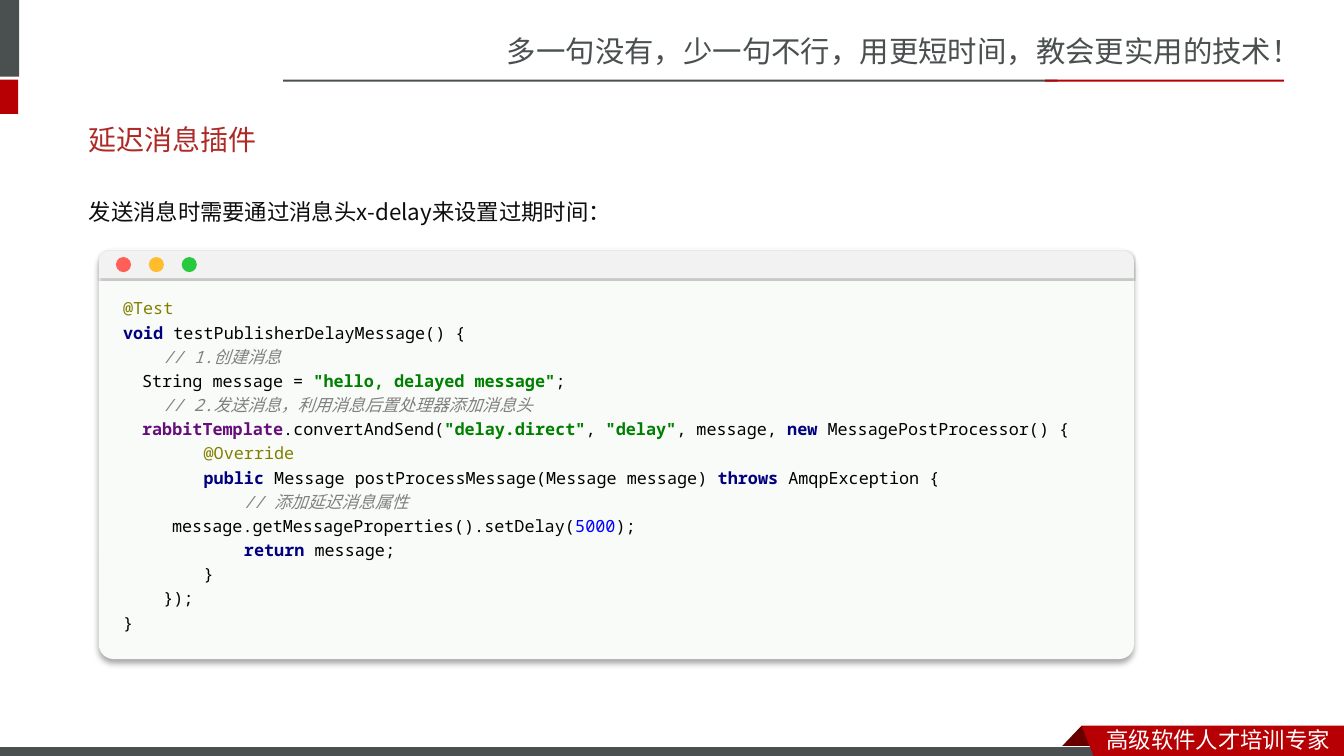
from dataclasses import dataclass

from lxml.etree import SubElement
from pptx import Presentation
from pptx.dml.color import RGBColor
from pptx.enum.shapes import MSO_SHAPE
from pptx.enum.text import MSO_ANCHOR, PP_ALIGN
from pptx.oxml.ns import qn
from pptx.util import Pt

BLACK = RGBColor(0x00, 0x00, 0x00)
WHITE = RGBColor(0xFF, 0xFF, 0xFF)
SLATE = RGBColor(0x49, 0x50, 0x4F)
RED = RGBColor(0xB6, 0x00, 0x04)
DARK_RED = RGBColor(0x68, 0x00, 0x00)
TITLE_RED = RGBColor(0xAD, 0x2A, 0x26)
INK = RGBColor(0x0D, 0x0D, 0x0D)
PANEL = RGBColor(0xF9, 0xFB, 0xF9)
TOOLBAR = RGBColor(0xF2, 0xF2, 0xF2)
CLOSE = RGBColor(0xFF, 0x5F, 0x56)
MINIMIZE = RGBColor(0xFF, 0xBD, 0x2E)
MAXIMIZE = RGBColor(0x27, 0xC9, 0x3F)
OLIVE = RGBColor(0x80, 0x80, 0x00)
NAVY = RGBColor(0x00, 0x00, 0x80)
GRAY = RGBColor(0x80, 0x80, 0x80)
GREEN = RGBColor(0x00, 0x80, 0x00)
PURPLE = RGBColor(0x66, 0x0E, 0x7A)
BLUE = RGBColor(0x00, 0x00, 0xFF)

SANS = "Noto Sans CJK SC"
MONO = "Noto Sans Mono"
INDENT = 28.8
NARROW = 13.6


@dataclass(frozen=True)
class Style:
    color: RGBColor
    size: float = 12
    latin: str = MONO
    east_asian: str = SANS
    bold: bool = False
    italic: bool = False


@dataclass(frozen=True)
class Box:
    left: float
    top: float
    width: float
    height: float


@dataclass(frozen=True)
class Block:
    box: Box
    fill: RGBColor
    kind: MSO_SHAPE = MSO_SHAPE.RECTANGLE


@dataclass(frozen=True)
class Shadow:
    alpha: int
    blur: float
    distance: float


@dataclass(frozen=True)
class CodeLine:
    indent: float
    tokens: tuple


PLAIN = Style(BLACK)
ANNOTATION = Style(OLIVE)
KEYWORD = Style(NAVY, bold=True)
STRING = Style(GREEN, bold=True)
FIELD = Style(PURPLE, bold=True)
NUMBER = Style(BLUE)
COMMENT = Style(GRAY, italic=True)
COMMENT_WORDS = Style(GRAY, latin="Courier New", italic=True)

CODE = (
    CodeLine(0, (("@Test", ANNOTATION),)),
    CodeLine(0, (("void ", KEYWORD), ("testPublisherDelayMessage() {", PLAIN))),
    CodeLine(INDENT, (("// 1.", COMMENT), ("创建消息", COMMENT_WORDS))),
    CodeLine(NARROW, (("String message = ", PLAIN),
                      ('"hello, delayed message"', STRING), (";", PLAIN))),
    CodeLine(INDENT, (("// 2.", COMMENT),
                      ("发送消息，利用消息后置处理器添加消息头", COMMENT_WORDS))),
    CodeLine(NARROW, (("rabbitTemplate", FIELD), (".convertAndSend(", PLAIN),
                      ('"delay.direct"', STRING), (", ", PLAIN),
                      ('"delay"', STRING), (", message, ", PLAIN),
                      ("new ", KEYWORD), ("MessagePostProcessor() {", PLAIN))),
    CodeLine(2 * INDENT, (("@Override", ANNOTATION),)),
    CodeLine(2 * INDENT, (("public ", KEYWORD),
                          ("Message postProcessMessage(Message message) ", PLAIN),
                          ("throws ", KEYWORD), ("AmqpException {", PLAIN))),
    CodeLine(3 * INDENT, (("// ", COMMENT), ("添加延迟消息属性", COMMENT_WORDS))),
    CodeLine(35, (("message.getMessageProperties().setDelay(", PLAIN),
                  ("5000", NUMBER), (");", PLAIN))),
    CodeLine(3 * INDENT, (("return ", KEYWORD), ("message;", PLAIN))),
    CodeLine(2 * INDENT, (("}", PLAIN),)),
    CodeLine(INDENT, (("});", PLAIN),)),
    CodeLine(0, (("}", PLAIN),)),
)


def place(shape, box: Box) -> None:
    shape.left, shape.top = Pt(box.left), Pt(box.top)
    shape.width, shape.height = Pt(box.width), Pt(box.height)


def paint(shape, fill: RGBColor) -> None:
    shape.shadow.inherit = False
    shape.fill.solid()
    shape.fill.fore_color.rgb = fill
    shape.line.fill.background()


def add_block(slide, block: Block):
    box = block.box
    shape = slide.shapes.add_shape(block.kind, Pt(box.left), Pt(box.top),
                                   Pt(box.width), Pt(box.height))
    paint(shape, block.fill)
    return shape


def add_polygon(slide, corners: tuple, fill: RGBColor) -> None:
    start, *rest = [(Pt(x), Pt(y)) for x, y in corners]
    builder = slide.shapes.build_freeform(*start)
    builder.add_line_segments(rest, close=True)
    paint(builder.convert_to_shape(), fill)


def cast_shadow(shape, shadow: Shadow) -> None:
    effects = shape._element.spPr.find(qn("a:effectLst"))
    outer = SubElement(effects, qn("a:outerShdw"), blurRad=str(Pt(shadow.blur)),
                       dist=str(Pt(shadow.distance)), dir="5400000",
                       algn="t", rotWithShape="0")
    color = SubElement(outer, qn("a:srgbClr"), val=str(BLACK))
    SubElement(color, qn("a:alpha"), val=str(shadow.alpha * 1000))


def add_run(paragraph, words: str, style: Style) -> None:
    run = paragraph.add_run()
    run.text = words
    font = run.font
    font.size, font.name = Pt(style.size), style.latin
    font.bold, font.italic = style.bold, style.italic
    font.color.rgb = style.color
    SubElement(font._element, qn("a:ea"), typeface=style.east_asian)


def add_text_frame(slide, box: Box):
    frame = slide.shapes.add_textbox(Pt(box.left), Pt(box.top),
                                     Pt(box.width), Pt(box.height)).text_frame
    frame.word_wrap = True
    return frame


def add_master_parts(slide) -> None:
    for block in (Block(Box(-4.3, 0, 18, 54.7), SLATE),
                  Block(Box(-4.3, 56.9, 17.3, 24.5), RED),
                  Block(Box(202.3, 56.9, 553, 1.4), SLATE),
                  Block(Box(746.6, 56.9, 170.6, 1.4), RED)):
        add_block(slide, block)
    add_polygon(slide, ((772.6, 518.4), (788.4, 535), (756.7, 535)), DARK_RED)
    footer = add_block(slide, Block(Box(-0.7, 533.5, 792, 8.6), SLATE))
    footer.line.color.rgb = WHITE
    footer.line.width = Pt(0.75)
    add_polygon(slide, ((772.6, 518.4), (960, 518.4), (960, 542.9), (781.9, 542.2)), RED)
    slogan = add_text_frame(slide, Box(355, 20.2, 605, 33.8))
    add_run(slogan.paragraphs[0], "多一句没有，少一句不行，用更短时间，教会更实用的技术！",
            Style(SLATE, 21, SANS))
    motto = add_text_frame(slide, Box(783.4, 514.8, 176.6, 26.6))
    add_run(motto.paragraphs[0], "高级软件人才培训专家", Style(WHITE, 16, SANS))


def fill_placeholders(slide) -> None:
    title, body = slide.shapes.title, slide.placeholders[1]
    place(title, Box(56.2, 83.5, 842.4, 31.7))
    title.text_frame.vertical_anchor = MSO_ANCHOR.MIDDLE
    heading = title.text_frame.paragraphs[0]
    heading.alignment = PP_ALIGN.LEFT
    add_run(heading, "延迟消息插件", Style(TITLE_RED, 20, "Lato"))

    place(body, Box(56.2, 128.2, 842.4, 37.4))
    intro = body.text_frame.paragraphs[0]
    intro.line_spacing = 1.5
    properties = intro._p.get_or_add_pPr()
    properties.set("marL", "0")
    properties.set("indent", "0")
    SubElement(properties, qn("a:buNone"))
    cjk = "Noto Sans CJK JP"
    add_run(intro, "发送消息时需要通过消息头x-delay来设置过期时间：", Style(INK, 16, cjk, cjk))


def add_code_window(slide) -> None:
    window = add_block(slide, Block(Box(70.6, 177.8, 739.4, 293), PANEL,
                                    MSO_SHAPE.ROUNDED_RECTANGLE))
    window.adjustments[0] = 0.036
    cast_shadow(window, Shadow(34, 4, 3))

    frame = add_text_frame(slide, Box(70.6, 206.6, 739.4, 250.6))
    frame.margin_left = frame.margin_right = Pt(17.3)
    for number, line in enumerate(CODE):
        paragraph = frame.add_paragraph() if number else frame.paragraphs[0]
        paragraph.line_spacing = 1.2
        paragraph._p.get_or_add_pPr().set("marL", str(Pt(line.indent)))
        for words, style in line.tokens:
            add_run(paragraph, words, style)

    toolbar = add_block(slide, Block(Box(70.6, 179.3, 739.4, 19.4), TOOLBAR,
                                     MSO_SHAPE.ROUND_2_SAME_RECTANGLE))
    toolbar.adjustments[0] = 0.37
    cast_shadow(toolbar, Shadow(20, 1, 1))
    for column, color in enumerate((CLOSE, MINIMIZE, MAXIMIZE)):
        add_block(slide, Block(Box(82.8 + 23.5 * column, 183.6, 10.8, 10.8), color,
                               MSO_SHAPE.OVAL))


def main() -> None:
    deck = Presentation()
    deck.slide_width, deck.slide_height = Pt(960), Pt(540)
    slide = deck.slides.add_slide(deck.slide_layouts[1])
    add_master_parts(slide)
    fill_placeholders(slide)
    add_code_window(slide)
    deck.save("out.pptx")


if __name__ == "__main__":
    main()
